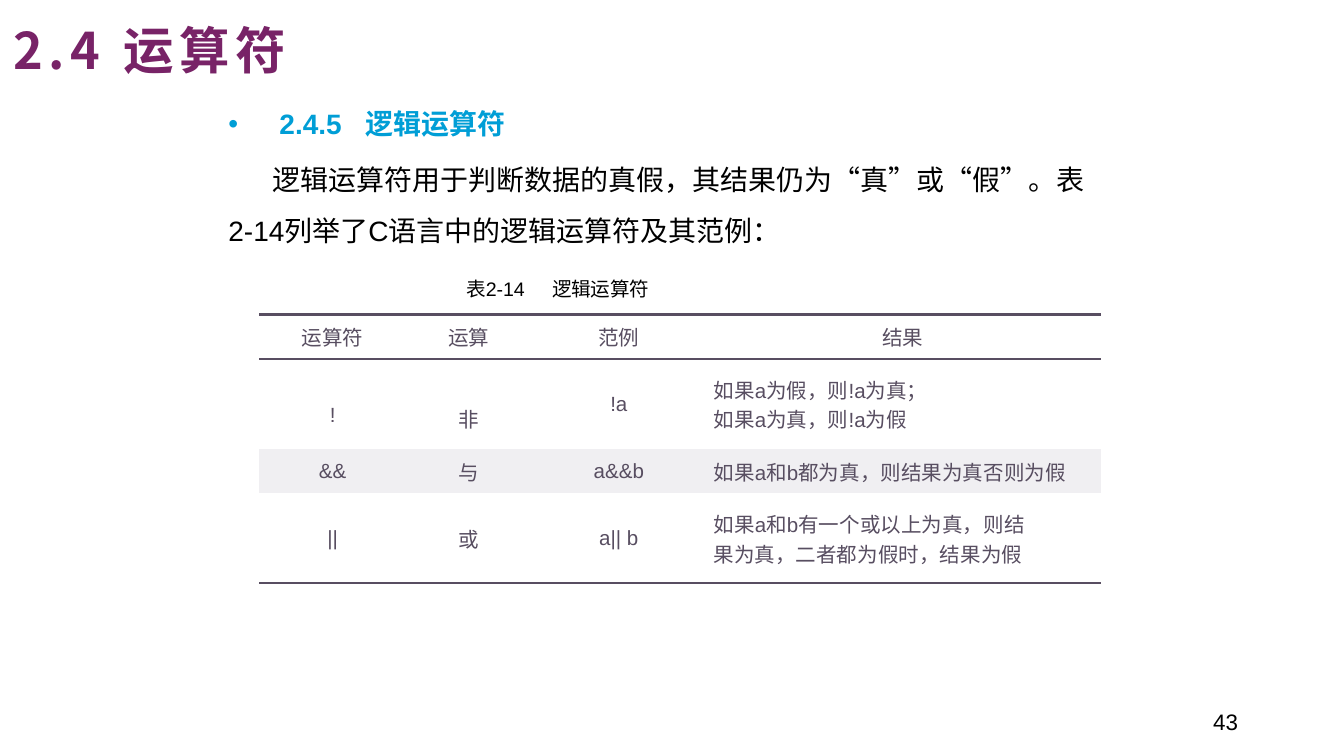
from lxml import etree
from pptx import Presentation
from pptx import util as u
from pptx.dml.color import RGBColor
from pptx.enum import text as t
from pptx.oxml import ns

PURPLE = RGBColor(0x78, 0x23, 0x67)
BLUE = RGBColor(0x00, 0x9E, 0xD6)
BLACK = RGBColor(0x00, 0x00, 0x00)
SLATE = RGBColor(0x58, 0x4E, 0x61)
WHITE = RGBColor(0xFF, 0xFF, 0xFF)
BAND = RGBColor(0xF0, 0xEF, 0xF2)
LATIN = "Arial"
ASIAN = "Noto Sans CJK SC"
LEFT, CENTER, RIGHT = t.PP_ALIGN.LEFT, t.PP_ALIGN.CENTER, t.PP_ALIGN.RIGHT
MIDDLE = t.MSO_ANCHOR.MIDDLE

HEADER = ["运算符", "运算", "范例", "结果"]
OPERATORS = [
    ["!", "非", "!a", "如果a为假，则!a为真；\n如果a为真，则!a为假"],
    ["&&", "与", "a&&b", "如果a和b都为真，则结果为真否则为假"],
    ["||", "或", "a|| b", "如果a和b有一个或以上为真，则结\n果为真，二者都为假时，结果为假"],
]
COLUMNS = [1.09, 0.94, 1.29, 2.94]
ROWS = [0.33, 0.67, 0.33, 0.67]


def add(parent, tag, **attributes):
    child = etree.SubElement(parent, ns.qn(tag))
    for name, value in attributes.items():
        child.set(name, str(value))
    return child


def write(para, content, size=15, color=BLACK, bold=False, font=LATIN, align=LEFT,
          lines=1.0, before=0, margin=0, indent=0, bullet=None, spacing=0, gap=None):
    para.alignment = align
    para.line_spacing = lines
    para.space_before = u.Pt(before)
    props = para._p.get_or_add_pPr()
    props.set("marL", str(u.Inches(margin)))
    props.set("indent", str(u.Inches(indent)))
    if bullet:
        add(props, "a:buFont", typeface=LATIN)
        add(props, "a:buChar", char=bullet)
    else:
        add(props, "a:buNone")
    parts = [(content, spacing)]
    if gap:
        number, name = content.split(" ")
        parts = [(number, spacing), (" ", gap), (name, spacing)]
    for part, tracking in parts:
        span = para.add_run()
        span.text = part
        span.font.size = u.Pt(size)
        span.font.bold = bold
        span.font.color.rgb = color
        span.font.name = font
        format_props = span._r.get_or_add_rPr()
        add(format_props, "a:ea", typeface=ASIAN)
        format_props.set("lang", "zh-CN")
        if tracking:
            format_props.set("spc", str(round(tracking * 100)))


class SlideWriter:
    def __init__(self, deck):
        self.page = deck.slides.add_slide(deck.slide_layouts[5])

    def title(self, content, area):
        box = self.page.shapes.title
        box.left, box.top, box.width, box.height = map(u.Inches, area)
        frame = box.text_frame
        frame.auto_size = t.MSO_AUTO_SIZE.NONE
        frame.vertical_anchor = t.MSO_ANCHOR.TOP
        write(frame.paragraphs[0], content, size=27, color=PURPLE, bold=True,
              font=ASIAN, spacing=3)

    def text(self, area, paragraphs, anchor=t.MSO_ANCHOR.TOP, inset=(0.07, 0.04)):
        box = self.page.shapes.add_textbox(*map(u.Inches, area))
        frame = box.text_frame
        frame.word_wrap = True
        frame.vertical_anchor = anchor
        frame.margin_left = frame.margin_right = u.Inches(inset[0])
        frame.margin_top = frame.margin_bottom = u.Inches(inset[1])
        for number, (content, style) in enumerate(paragraphs):
            para = frame.add_paragraph() if number else frame.paragraphs[0]
            write(para, content, **style)

    def cell(self, cell, content, align, fill, ruled, lines):
        cell.fill.solid()
        cell.fill.fore_color.rgb = fill
        cell.vertical_anchor = MIDDLE
        cell.margin_left = cell.margin_right = u.Inches(0.06)
        cell.margin_top = cell.margin_bottom = 0
        for number, line in enumerate(content.split("\n")):
            para = cell.text_frame.add_paragraph() if number else cell.text_frame.paragraphs[0]
            write(para, line, size=11, color=SLATE, align=align, lines=lines)
        props = cell._tc.get_or_add_tcPr()
        for position, side in enumerate("LRTB"):
            edge = add(props, f"a:ln{side}")
            if side in ruled:
                edge.set("w", str(u.Pt(1.5)))
                add(add(edge, "a:solidFill"), "a:srgbClr", val=SLATE)
            else:
                add(edge, "a:noFill")
            props.insert(position, edge)

    def table(self, left, top, rows):
        frame = self.page.shapes.add_table(
            len(ROWS), len(COLUMNS), u.Inches(left), u.Inches(top),
            u.Inches(sum(COLUMNS)), u.Inches(sum(ROWS)))
        table = frame.table
        table.first_row = table.horz_banding = False
        for column, width in zip(table.columns, COLUMNS):
            column.width = u.Inches(width)
        for row, height in zip(table.rows, ROWS):
            row.height = u.Inches(height)
        rules = ["TB", "T", "", "B"]
        for r, values in enumerate(rows):
            for c, content in enumerate(values):
                self.cell(table.cell(r, c), content,
                          align=LEFT if r and c == 3 else CENTER,
                          fill=BAND if r == 2 else WHITE,
                          ruled=rules[r],
                          lines=2.0 if r == 1 and c < 2 else 1.0)


def main():
    deck = Presentation()
    deck.slide_width, deck.slide_height = u.Inches(10), u.Inches(5.625)
    writer = SlideWriter(deck)
    writer.text((1.63, 0.63, 6.6, 1.3), [
        ("2.4.5 逻辑运算符", dict(color=BLUE, bold=True, lines=1.5, margin=0.38,
                             indent=-0.38, bullet="•", gap=8.3)),
        ("逻辑运算符用于判断数据的真假，其结果仍为“真”或“假”。表2-14列举了C语言中的逻辑运算符及其范例：",
         dict(lines=1.5, before=3, indent=0.33)),
    ])
    writer.text((3.4, 2, 2.5, 0.3), [("表2-14 逻辑运算符", dict(size=10.5, gap=11.7))],
                anchor=MIDDLE)
    writer.table(1.93, 2.34, [HEADER] + OPERATORS)
    writer.title("2.4 运算符", (0, 0.09, 6.37, 0.59))
    writer.text((7.06, 5.22, 2.25, 0.3), [("43", dict(size=12, align=RIGHT))],
                anchor=MIDDLE, inset=(0.1, 0.05))
    deck.save("out.pptx")


if __name__ == "__main__":
    main()
